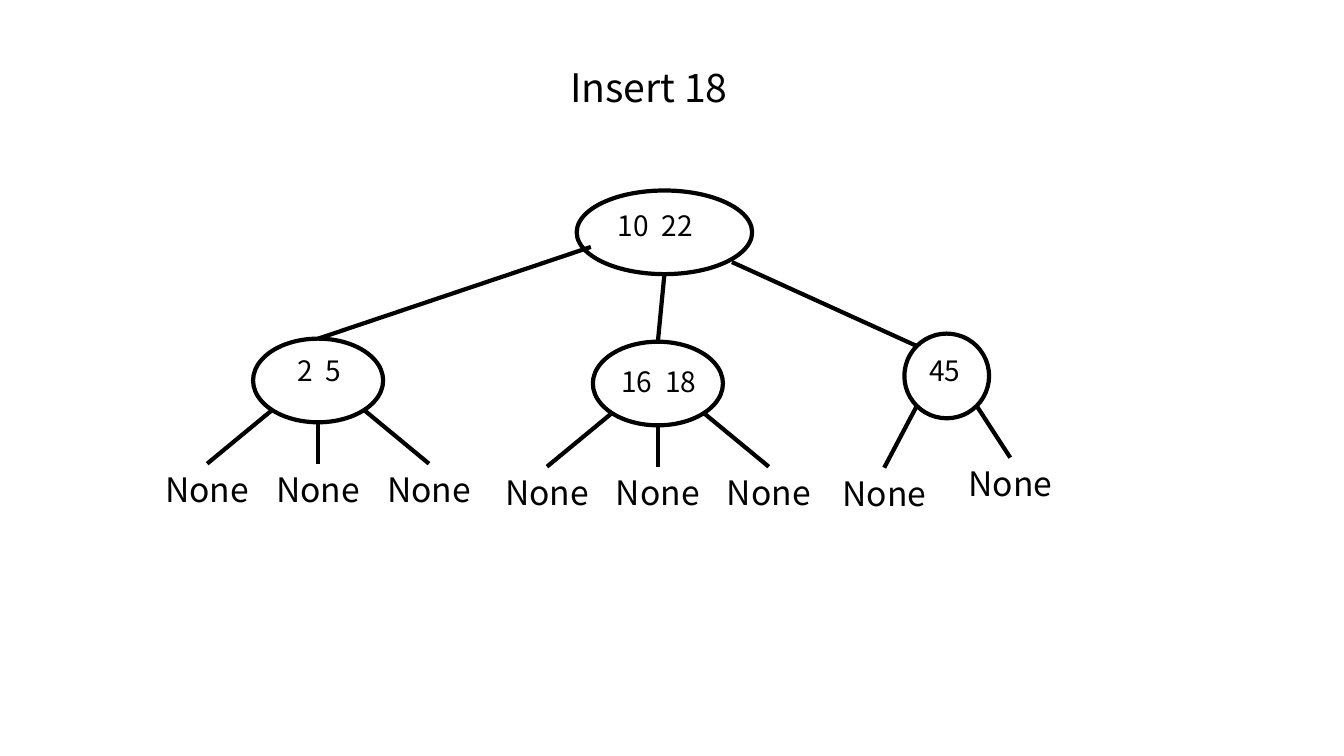
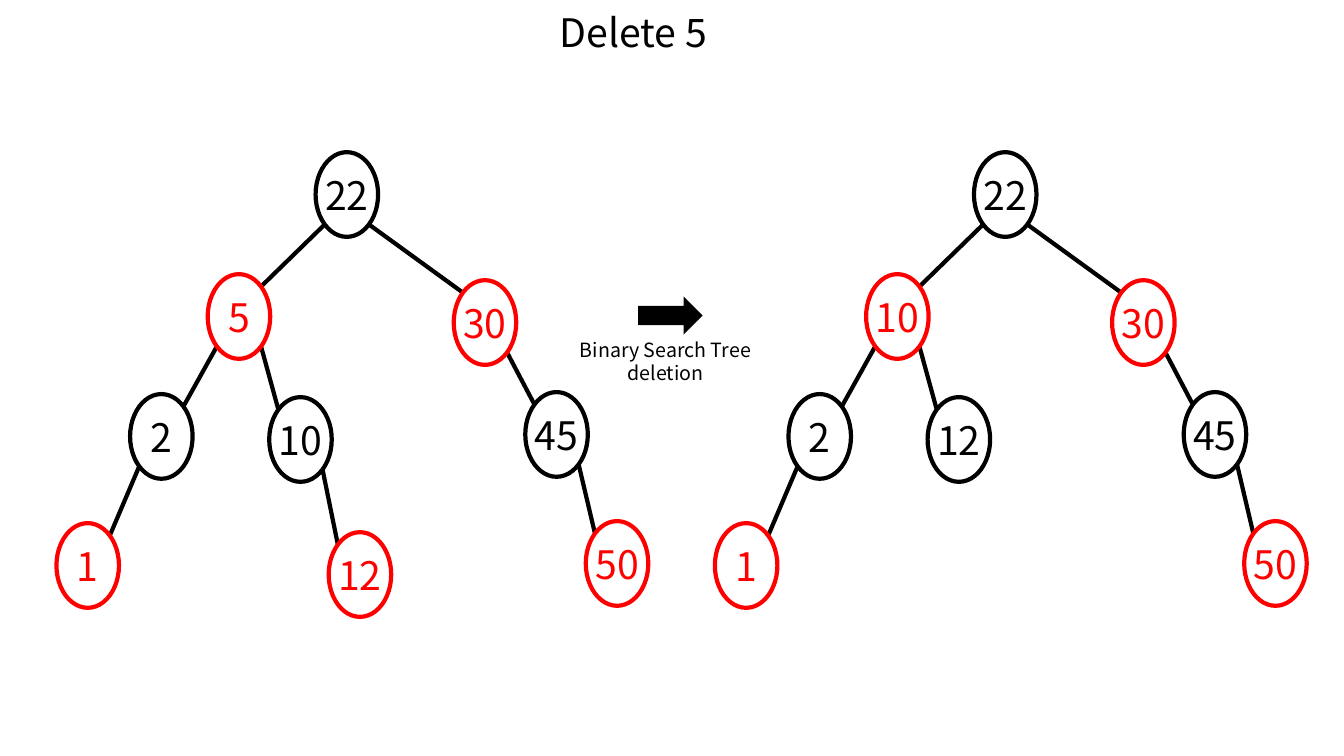
from dataclasses import dataclass
from math import sqrt

from lxml import etree
from pptx import Presentation
from pptx.dml.color import RGBColor
from pptx.enum import shapes, text
from pptx.oxml import ns
from pptx.util import Inches, Pt


@dataclass(frozen=True)
class Theme:
    font: str = "Noto Sans CJK KR"
    black: RGBColor = RGBColor(0, 0, 0)
    red: RGBColor = RGBColor(255, 0, 0)
    line: int = 3
    title: int = 28
    key: int = 28
    leaf: int = 24
    wide_key: int = 20
    caption: int = 14


THEME = Theme()


@dataclass(frozen=True)
class Node:
    """A tree node: its keys and the box of its ellipse, in inches."""
    keys: str
    x: float
    y: float
    w: float = 0.62
    h: float = 0.84
    color: RGBColor = THEME.black

    def site(self, side, level):
        """Point on the outline; side and level are -1, 0 or 1."""
        r = 1 / sqrt(2) if side and level else 1
        return (self.x + self.w / 2 * (1 + side * r),
                self.y + self.h / 2 * (1 + level * r))


# Shared elements
def style_text(tf, words, size, color):
    tf.text = words
    p = tf.paragraphs[0]
    p.alignment = text.PP_ALIGN.CENTER
    font = p.runs[0].font
    font.name, font.size, font.color.rgb = THEME.font, Pt(size), color


def add_slide(prs, title, x, y, w):
    s = prs.slides.add_slide(prs.slide_layouts[5])
    sp = s.shapes.title
    sp.left, sp.top, sp.width, sp.height = map(Inches, (x, y, w, 0.57))
    tf = sp.text_frame
    tf.auto_size = text.MSO_AUTO_SIZE.NONE
    tf.vertical_anchor = text.MSO_ANCHOR.TOP
    style_text(tf, title, THEME.title, THEME.black)
    return s


def add_label(parent, words, center, top, w, h, size, color=THEME.black):
    sp = parent.add_textbox(*map(Inches, (center - w / 2, top, w, h)))
    tf = sp.text_frame
    tf.word_wrap = True
    tf.auto_size = text.MSO_AUTO_SIZE.SHAPE_TO_FIT_TEXT
    style_text(tf, words, size, color)


def add_edge(parent, start, end):
    line = parent.add_connector(shapes.MSO_CONNECTOR.STRAIGHT,
                                *map(Inches, (*start, *end)))
    line.line.color.rgb = THEME.black
    line.line.width = Pt(THEME.line)
    etree.SubElement(line._element.spPr, ns.qn("a:effectLst"))


def add_node(parent, node, size, dx=0, dy=0.14):
    sp = parent.add_shape(shapes.MSO_SHAPE.OVAL,
                          *map(Inches, (node.x, node.y, node.w, node.h)))
    sp.shadow.inherit = False
    sp.fill.background()
    sp.line.color.rgb = node.color
    sp.line.width = Pt(THEME.line)
    add_label(parent, node.keys, node.x + node.w / 2 + dx, node.y + dy,
              node.w + 0.08, 0.59, size, node.color)


# 2-3 tree
def add_leaves(parent, node, leaves):
    """Hang one empty leaf per (side, distance, drop) below the node."""
    for side, distance, drop in leaves:
        end = (node.x + node.w / 2 + side * distance, node.y + drop)
        add_edge(parent, node.site(side, 1), end)
        add_label(parent, "None", *end, 1.05, 0.5, THEME.leaf)


def insert_slide(prs):
    s = add_slide(prs, "Insert 18", 2.71, 0.58, 7.45)
    tree = s.shapes.add_group_shape().shapes
    root = Node("10  22", 5.72, 1.89, 1.74, 0.83)
    left = Node("2  5", 2.51, 3.36, 1.29, 0.83)
    middle = Node("16  18", 5.88, 3.39, 1.29, 0.83)
    right = Node("45", 8.97, 3.31, 0.84, 0.84)

    for node, dx, dy in ((root, -0.09, 0.13), (left, 0.01, 0.1),
                         (middle, 0.01, 0.18), (right, -0.02, 0.15)):
        add_node(tree, node, THEME.wide_key, dx, dy)
    add_edge(tree, (5.86, 2.45), left.site(0, -1))
    add_edge(tree, root.site(0, 1), middle.site(0, -1))
    add_edge(tree, (7.26, 2.6), right.site(-1, -1))

    three_leaves = [(side, 1.1, 1.24) for side in (-1, 0, 1)]
    add_leaves(tree, left, three_leaves)
    add_leaves(tree, middle, three_leaves)
    add_leaves(tree, right, [(-1, 0.62, 1.33), (1, 0.63, 1.23)])


# Red-black tree
def add_binary_tree(s, nodes, edges):
    tree = s.shapes.add_group_shape().shapes
    for parent, child in edges:
        a, b = nodes[parent], nodes[child]
        side = 1 if b.x > a.x else -1
        add_edge(tree, a.site(side, 1), b.site(-side, -1))
    for node in nodes.values():
        add_node(tree, node, THEME.key)


def red_black_nodes(x, left_key, inner_key):
    """Nodes that both trees share, by place, moved right by x."""
    places = {
        "root": ("22", 3.13, 1.51, THEME.black),
        "left": (left_key, 2.06, 2.72, THEME.red),
        "right": ("30", 4.5, 2.78, THEME.red),
        "outer left": ("2", 1.29, 3.91, THEME.black),
        "inner left": (inner_key, 2.67, 3.94, THEME.black),
        "outer right": ("45", 5.21, 3.89, THEME.black),
        "first": ("1", 0.56, 5.19, THEME.red),
        "last": ("50", 5.81, 5.17, THEME.red),
    }
    return {place: Node(key, x + left, top, color=color)
            for place, (key, left, top, color) in places.items()}


def delete_slide(prs):
    s = add_slide(prs, "Delete 5", 4.89, 0.03, 2.78)
    edges = [("root", "left"), ("root", "right"), ("left", "outer left"),
             ("left", "inner left"), ("right", "outer right"),
             ("outer left", "first"), ("outer right", "last")]

    # Trees before and after the deletion
    before = red_black_nodes(0, "5", "10")
    before["successor"] = Node("12", 3.26, 5.28, color=THEME.red)
    add_binary_tree(s, before, edges + [("inner left", "successor")])
    add_binary_tree(s, red_black_nodes(6.53, "10", "12"), edges)

    # Step between the trees
    arrow = s.shapes.add_shape(shapes.MSO_SHAPE.RIGHT_ARROW,
                               *map(Inches, (6.33, 2.94, 0.64, 0.38)))
    arrow.shadow.inherit = False
    arrow.fill.solid()
    arrow.fill.fore_color.rgb = THEME.black
    arrow.line.fill.background()
    add_label(s.shapes, "Binary Search Tree deletion", 6.6, 3.3, 2.25, 0.57,
              THEME.caption)


def main():
    prs = Presentation()
    prs.slide_width, prs.slide_height = Inches(13.33), Inches(7.5)
    insert_slide(prs)
    delete_slide(prs)
    prs.save("out.pptx")


if __name__ == "__main__":
    main()
